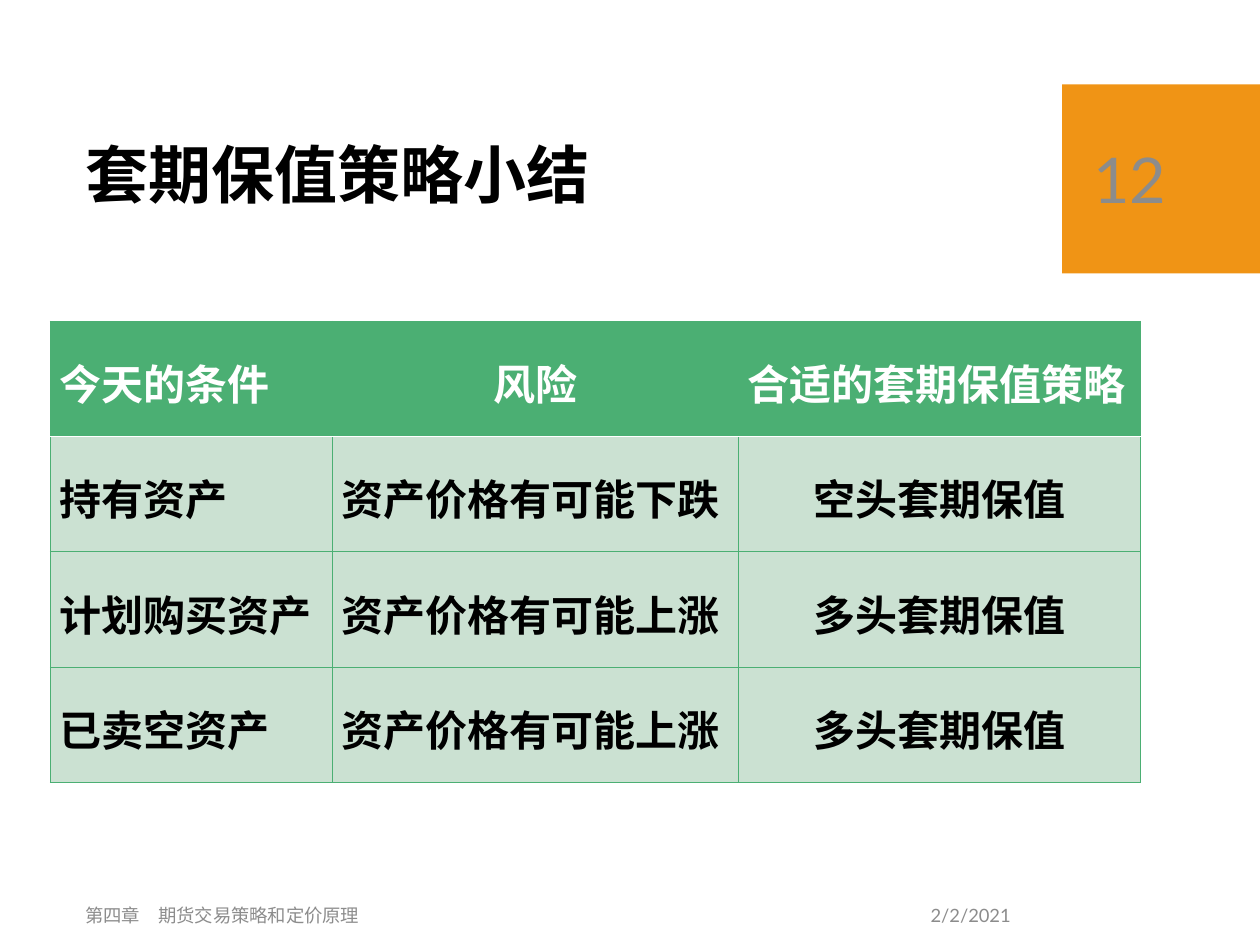
"""Build the hedging strategy summary slide."""
from dataclasses import dataclass

from lxml import etree
from pptx import Presentation
from pptx.dml.color import RGBColor
from pptx.enum import shapes, text
from pptx.oxml.ns import qn
from pptx.util import Inches, Pt

FONT = "Lato"
GREEN, MINT, ORANGE = "4BAF73", "CBE1D2", "F09415"
BLACK, WHITE, GRAY = "000000", "FFFFFF", "8C8C8C"
ALIGN = text.PP_ALIGN


@dataclass
class Label:
    wording: str
    left: float
    top: float
    width: float
    height: float
    size: float
    align: ALIGN = ALIGN.LEFT


LABELS = [
    Label("2/2/2021", 5.87, 7.06, 2.25, 0.4, 10.5, ALIGN.RIGHT),
    Label("第四章　期货交易策略和定价原理", 0.58, 7.06, 5.29, 0.4, 10.5),
    Label("12", 8.58, 0.82, 1.27, 1.19, 36),
]
STRATEGIES = [
    ("今天的条件", "风险", "合适的套期保值策略"),
    ("持有资产", "资产价格有可能下跌", "空头套期保值"),
    ("计划购买资产", "资产价格有可能上涨", "多头套期保值"),
    ("已卖空资产", "资产价格有可能上涨", "多头套期保值"),
]
COLUMN_WIDTHS = (2.24, 3.22, 3.19)
ROW_HEIGHT = 0.915
HEADER_ALIGN = (ALIGN.JUSTIFY, ALIGN.CENTER, ALIGN.JUSTIFY)
BODY_ALIGN = (ALIGN.JUSTIFY, ALIGN.JUSTIFY, ALIGN.CENTER)


def rgb(code: str) -> RGBColor:
    return RGBColor.from_string(code)


def write(frame, wording: str, size: float, color: str, align: ALIGN,
          spacing: float = 1.0, bold: bool = False) -> None:
    frame.text = wording
    paragraph = frame.paragraphs[0]
    paragraph.alignment = align
    paragraph.line_spacing = spacing
    font = paragraph.runs[0].font
    font.name, font.size, font.bold = FONT, Pt(size), bold
    font.color.rgb = rgb(color)


def place(shape, left: float, top: float, width: float, height: float) -> None:
    shape.left, shape.top = Inches(left), Inches(top)
    shape.width, shape.height = Inches(width), Inches(height)


def add_label(slide, label: Label) -> None:
    box = slide.shapes.add_textbox(Inches(label.left), Inches(label.top),
                                   Inches(label.width), Inches(label.height))
    box.text_frame.word_wrap = True
    box.text_frame.vertical_anchor = text.MSO_ANCHOR.MIDDLE
    write(box.text_frame, label.wording, label.size, GRAY, label.align)


def set_border(cell, position: int, side: str, color: str, width: float) -> None:
    line = etree.Element(qn(f"a:ln{side}"), w=str(Pt(width)))
    fill = etree.SubElement(line, qn("a:solidFill"))
    etree.SubElement(fill, qn("a:srgbClr"), val=color)
    cell._tc.get_or_add_tcPr().insert(position, line)


def format_cell(cell, wording: str, row: int, column: int) -> None:
    header = row == 0
    cell.margin_left = cell.margin_right = Inches(0.07)
    cell.margin_top = cell.margin_bottom = 0
    cell.fill.solid()
    cell.fill.fore_color.rgb = rgb(GREEN if header else MINT)
    align = (HEADER_ALIGN if header else BODY_ALIGN)[column]
    write(cell.text_frame, wording, 24, WHITE if header else BLACK, align, 1.5, True)
    for position, side in enumerate("LRTB"):
        divider = (row, side) in ((0, "B"), (1, "T"))
        set_border(cell, position, side, WHITE if divider else GREEN,
                   1 if divider else 0.75)


def add_strategy_table(slide) -> None:
    table = slide.shapes.add_table(
        len(STRATEGIES), len(COLUMN_WIDTHS), Inches(0.4), Inches(2.55),
        Inches(sum(COLUMN_WIDTHS)), Inches(ROW_HEIGHT * len(STRATEGIES))).table
    for column, width in zip(table.columns, COLUMN_WIDTHS):
        column.width = Inches(width)
    for row, wordings in enumerate(STRATEGIES):
        table.rows[row].height = Inches(ROW_HEIGHT)
        for column, wording in enumerate(wordings):
            format_cell(table.cell(row, column), wording, row, column)


def main() -> None:
    deck = Presentation()
    deck.slide_width, deck.slide_height = Inches(10), Inches(7.5)
    slide = deck.slides.add_slide(deck.slide_layouts[5])

    number_block = slide.shapes.add_shape(
        shapes.MSO_SHAPE.RECTANGLE, Inches(8.43), Inches(0.67), Inches(1.57), Inches(1.5))
    number_block.shadow.inherit = False
    number_block.fill.solid()
    number_block.fill.fore_color.rgb = rgb(ORANGE)
    number_block.line.fill.background()

    title = slide.shapes.title
    place(title, 0.58, 0.82, 7.54, 1.18)
    title.text_frame.vertical_anchor = text.MSO_ANCHOR.MIDDLE
    write(title.text_frame, "套期保值策略小结", 36, BLACK, ALIGN.LEFT, 0.9, True)

    add_strategy_table(slide)
    for label in LABELS:
        add_label(slide, label)
    deck.save("out.pptx")


if __name__ == "__main__":
    main()
